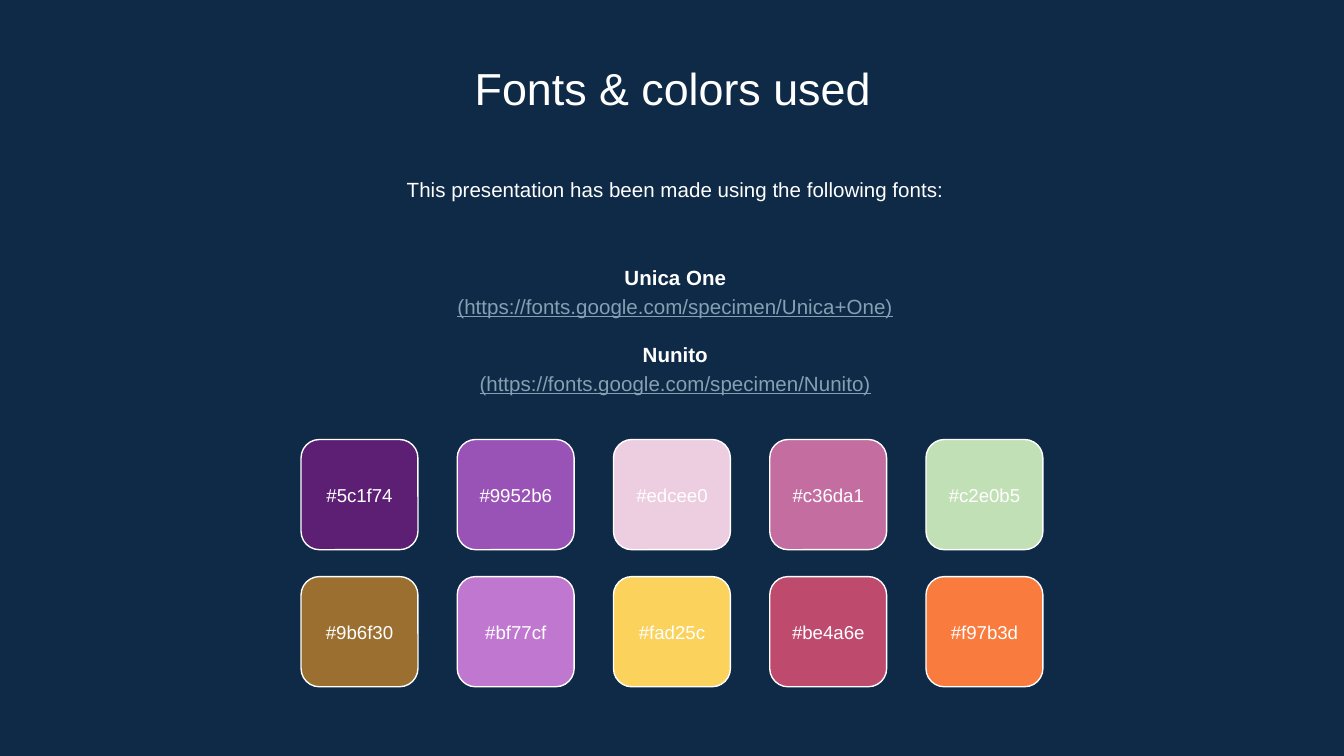
from pptx import Presentation
from pptx.dml.color import RGBColor as RGB
from pptx.enum.shapes import MSO_SHAPE as SHAPE
from pptx.enum.text import MSO_ANCHOR as ANCHOR, PP_ALIGN as ALIGN
from pptx.util import Inches, Pt

NAVY = RGB(0x0E, 0x2A, 0x47)
WHITE = RGB(0xFF, 0xFF, 0xFF)
STEEL = RGB(0x86, 0x9F, 0xB2)
FONT = "Arial"

FONTS = [
    ("Unica One", "(https://fonts.google.com/specimen/Unica+One)"),
    ("Nunito", "(https://fonts.google.com/specimen/Nunito)"),
]
SWATCHES = [
    ["5c1f74", "9952b6", "edcee0", "c36da1", "c2e0b5"],
    ["9b6f30", "bf77cf", "fad25c", "be4a6e", "f97b3d"],
]


def write(para, text, size=11, color=WHITE, bold=False, line=False,
          space=1.0, before=0):
    """Fill a centred paragraph with one formatted run."""
    para.alignment = ALIGN.CENTER
    para.line_spacing = space
    para.space_before = Pt(before)
    run = para.add_run()
    run.text = text
    font = run.font
    font.name, font.size = FONT, Pt(size)
    font.bold, font.underline = bold, line
    font.color.rgb = color


class Deck:
    def __init__(self, width, height):
        self.prs = Presentation()
        self.prs.slide_width = Inches(width)
        self.prs.slide_height = Inches(height)
        self.slide = self.prs.slides.add_slide(self.prs.slide_layouts[5])
        fill = self.slide.background.fill
        fill.solid()
        fill.fore_color.rgb = NAVY

    def frame(self, shape, anchor):
        frame = shape.text_frame
        frame.word_wrap = True
        frame.vertical_anchor = anchor
        frame.margin_left = frame.margin_right = Inches(0.1)
        frame.margin_top = frame.margin_bottom = Inches(0.1)
        return frame

    def title(self, text, left, top, width, height):
        shape = self.slide.shapes.title
        shape.left, shape.top = Inches(left), Inches(top)
        shape.width, shape.height = Inches(width), Inches(height)
        write(self.frame(shape, ANCHOR.TOP).paragraphs[0], text, size=24)

    def text(self, left, top, width, height, anchor=ANCHOR.MIDDLE):
        box = self.slide.shapes.add_textbox(
            Inches(left), Inches(top), Inches(width), Inches(height))
        return self.frame(box, anchor)

    def swatch(self, code, left, top, width=0.87, height=0.82):
        tile = self.slide.shapes.add_shape(
            SHAPE.ROUNDED_RECTANGLE,
            Inches(left), Inches(top), Inches(width), Inches(height))
        tile.shadow.inherit = False
        tile.fill.solid()
        tile.fill.fore_color.rgb = RGB.from_string(code.upper())
        tile.line.color.rgb = WHITE
        tile.line.width = Pt(0.75)
        label = self.text(left, top + 0.17, width, 0.48)
        write(label.paragraphs[0], f"#{code}", size=10)


def main():
    deck = Deck(10, 10 * 9 / 16)
    deck.title("Fonts & colors used", 1.15, 0.35, 7.71, 0.53)

    # Introduction
    intro = deck.text(1.17, 1.19, 7.71, 0.48, ANCHOR.TOP)
    write(intro.paragraphs[0],
          "This presentation has been made using the following fonts:",
          space=1.15)

    # Font names with their addresses
    names = deck.text(1.17, 1.76, 7.71, 1.37)
    for i, (name, link) in enumerate(FONTS):
        para = names.add_paragraph() if i else names.paragraphs[0]
        write(para, name, bold=True, space=1.15, before=11 if i else 0)
        write(names.add_paragraph(), link, color=STEEL, line=True, space=1.15)

    # Colour swatches
    step = (6.89 - 2.24) / 4
    for row, codes in enumerate(SWATCHES):
        for col, code in enumerate(codes):
            deck.swatch(code, 2.24 + col * step, 3.27 + row * 1.02)

    deck.prs.save("out.pptx")


if __name__ == "__main__":
    main()
